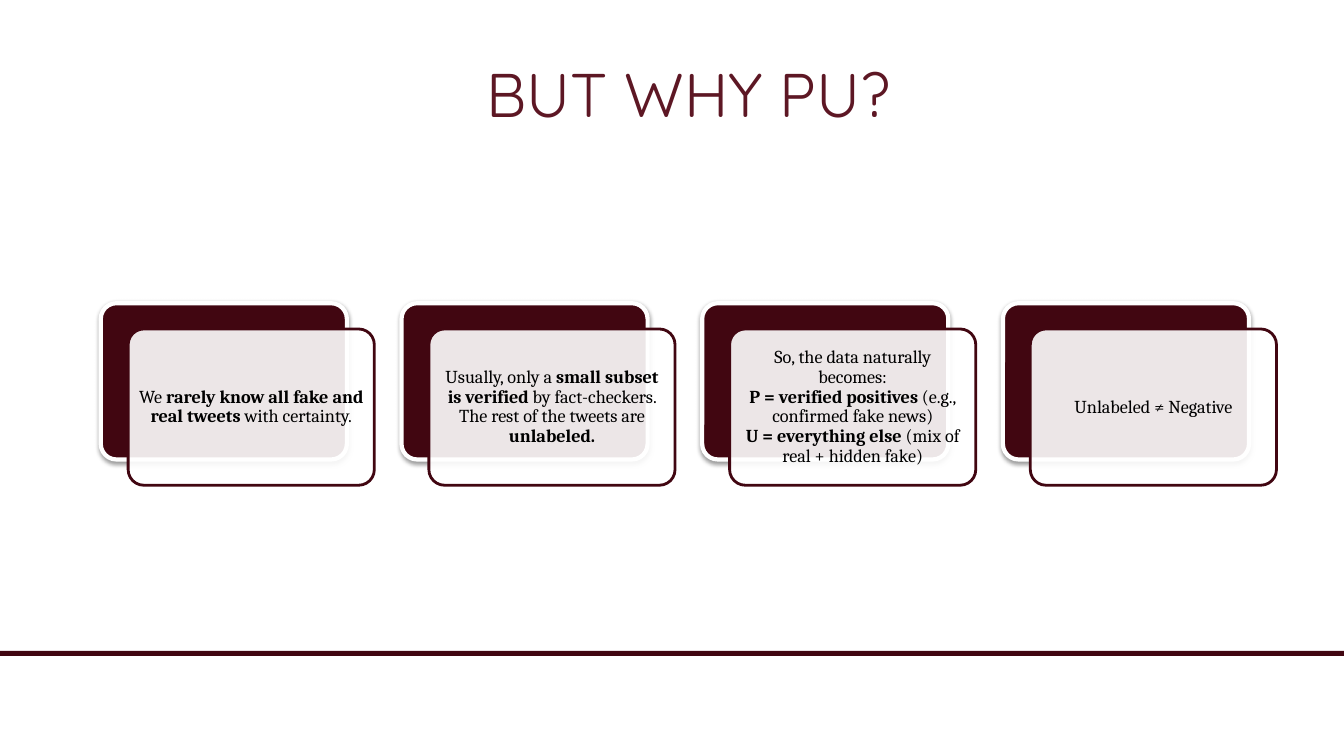
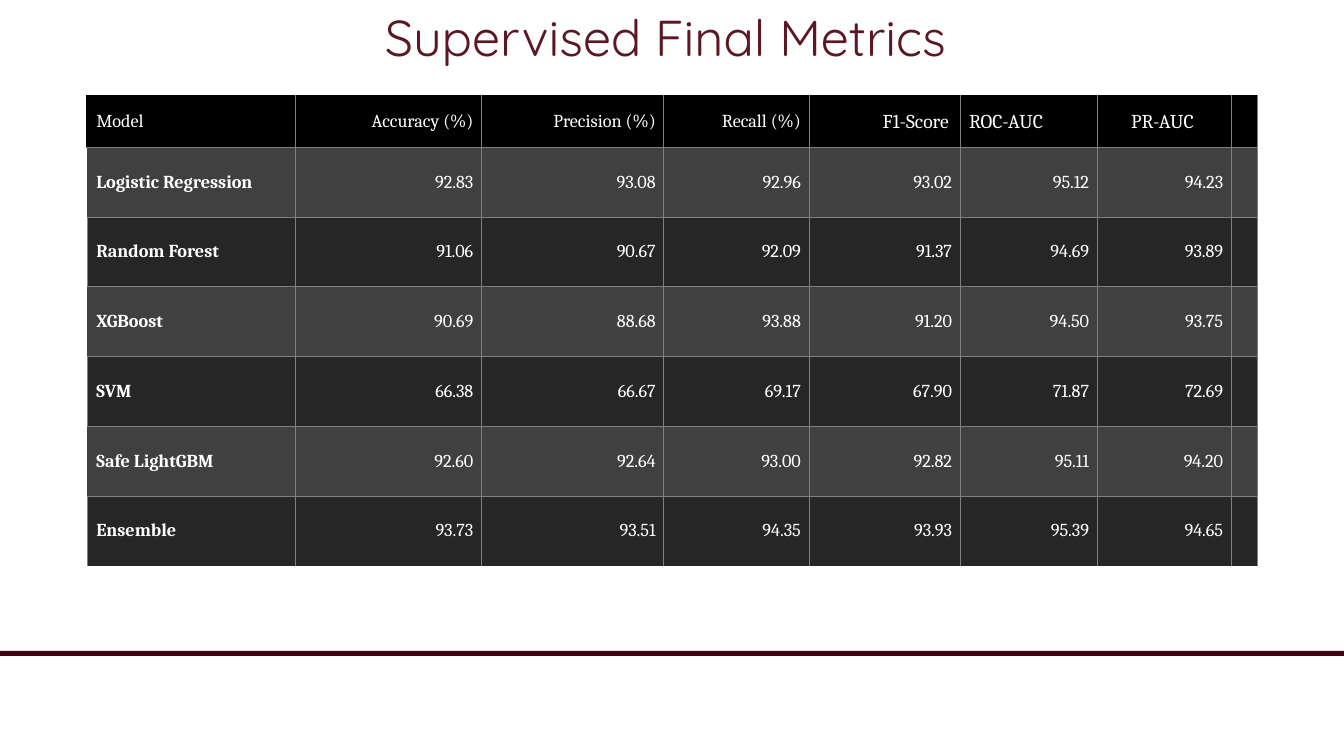
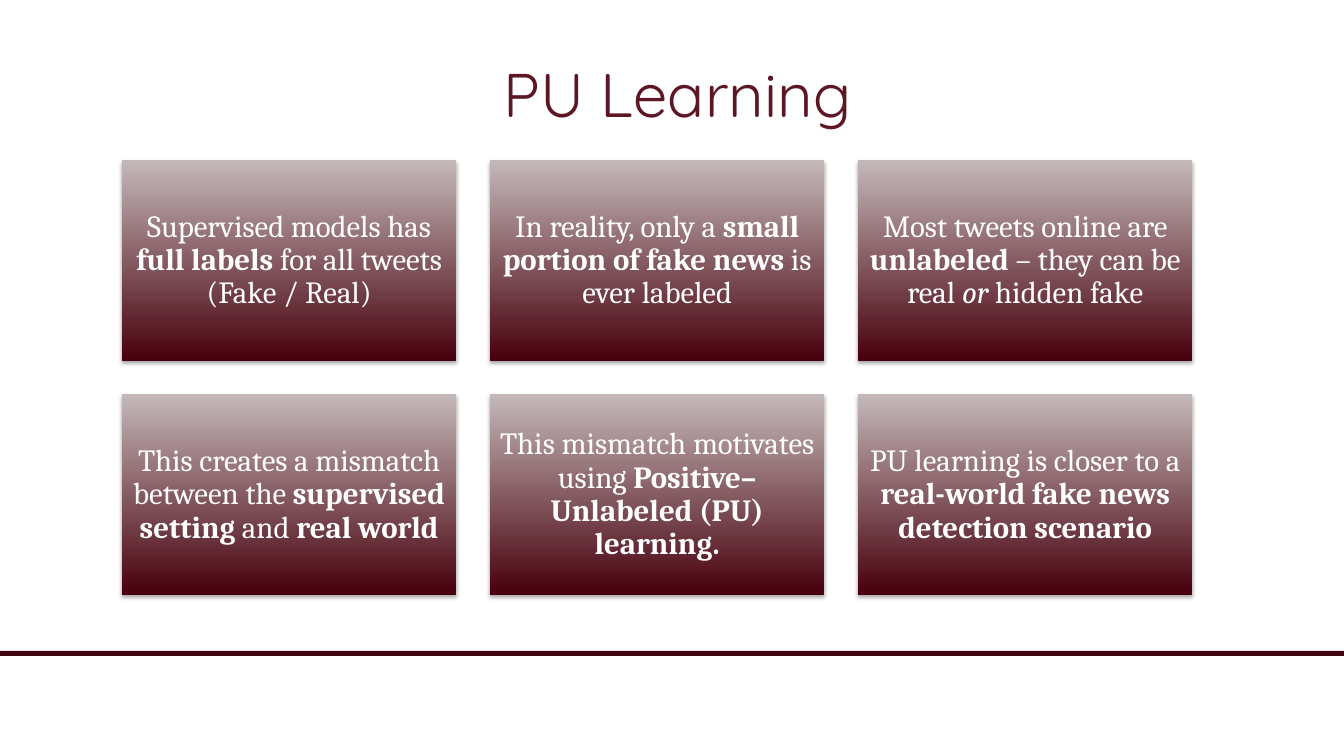
"""Build three slides on positive-unlabeled learning for fake news detection."""
from lxml.etree import SubElement
from pptx import Presentation
from pptx.dml.color import RGBColor
from pptx.enum.shapes import MSO_SHAPE
from pptx.enum.text import MSO_ANCHOR, MSO_AUTO_SIZE, PP_ALIGN
from pptx.oxml.ns import qn
from pptx.util import Pt

WINE = RGBColor(0x41, 0x06, 0x11)
TITLE_WINE = RGBColor(0x5D, 0x17, 0x24)
DEEP_WINE = RGBColor(0x47, 0x00, 0x0D)
ROSE_GREY = RGBColor(0xC4, 0xB8, 0xB9)
WHITE = RGBColor(0xFF, 0xFF, 0xFF)
BLACK = RGBColor(0x00, 0x00, 0x00)
GREY = RGBColor(0x80, 0x80, 0x80)
LIGHT_ROW = RGBColor(0x40, 0x40, 0x40)
DARK_ROW = RGBColor(0x26, 0x26, 0x26)

TITLE_FONT = "Quicksand"
BODY_FONT = "Cambria"
PLAIN = {"bold": False}
BOLD = {"bold": True}
ITALIC = {"italic": True}
SMALL_SPACE = {"size": Pt(10)}

REASONS = [
    [("We ", PLAIN), ("rarely know all fake and real tweets", BOLD), (" with certainty.", PLAIN)],
    [("Usually, only a ", PLAIN), ("small subset is verified", BOLD),
     (" by fact-checkers. The rest of the tweets are ", PLAIN), ("unlabeled.", BOLD)],
    [("So, the data naturally becomes:\n", PLAIN), ("P = verified positives", BOLD),
     (" (e.g., confirmed fake news)\n", PLAIN), ("U = everything else", BOLD),
     (" (mix of real + hidden fake)", PLAIN)],
    [("Unlabeled ≠ Negative", PLAIN)],
]

HEADERS = [
    ("Model", 13, PP_ALIGN.LEFT),
    ("Accuracy (%)", 13, PP_ALIGN.RIGHT),
    ("Precision (%)", 13, PP_ALIGN.RIGHT),
    ("Recall (%)", 13, PP_ALIGN.RIGHT),
    ("F1-Score", 14, PP_ALIGN.RIGHT),
    ("ROC-AUC", 14, PP_ALIGN.LEFT),
    ("PR-AUC ", 14, PP_ALIGN.CENTER),
]
METRICS = [
    ("Logistic Regression", "92.83", "93.08", "92.96", "93.02", "95.12", "94.23"),
    ("Random Forest", "91.06", "90.67", "92.09", "91.37", "94.69", "93.89"),
    ("XGBoost", "90.69", "88.68", "93.88", "91.20", "94.50", "93.75"),
    ("SVM", "66.38", "66.67", "69.17", "67.90", "71.87", "72.69"),
    ("Safe LightGBM", "92.60", "92.64", "93.00", "92.82", "95.11", "94.20"),
    ("Ensemble", "93.73", "93.51", "94.35", "93.93", "95.39", "94.65"),
]
COLUMN_WIDTHS = [149, 132.5, 130.3, 103.7, 108, 97.9, 95.8, 18.7]
HEADER_HEIGHT = 33.4
ROW_HEIGHT = 49.85

POINTS = [
    [("Supervised models has ", PLAIN), ("full labels", BOLD), (" for all tweets (Fake / Real)", PLAIN)],
    [("In reality, only a ", PLAIN), ("small portion of fake news", BOLD), (" is ever labeled", PLAIN)],
    [("Most tweets online are ", PLAIN), ("unlabeled", BOLD), (" – they can be real ", PLAIN),
     ("or", ITALIC), (" hidden fake", PLAIN)],
    [("This creates a mismatch between the ", PLAIN), ("supervised setting", BOLD),
     (" and ", PLAIN), ("real world", BOLD)],
    [("This mismatch motivates using ", PLAIN), ("Positive–Unlabeled (PU) learning.", BOLD)],
    [("PU learning is closer to a ", PLAIN), ("real-world fake news detection scenario", BOLD)],
]


def assign(target, values):
    """Set every attribute named in values on the target."""
    for name, value in values.items():
        setattr(target, name, value)


class Builder:
    """Hold the deck style and the current page."""

    def __init__(self):
        """Start an empty widescreen deck."""
        self.deck = Presentation()
        assign(self.deck, {"slide_width": Pt(960), "slide_height": Pt(540)})
        self.page = None

    def start_page(self, title, area, size):
        """Add a page with the shared band and a formatted title."""
        self.page = self.deck.slides.add_slide(self.deck.slide_layouts[5])
        self.shape(MSO_SHAPE.RECTANGLE, (0, 465, 960, 3.6), WINE)
        box = self.page.shapes.title
        assign(box, dict(zip(("left", "top", "width", "height"), map(Pt, area))))
        assign(box.text_frame, {"word_wrap": True, "auto_size": MSO_AUTO_SIZE.NONE,
                                "vertical_anchor": MSO_ANCHOR.MIDDLE})
        self.add_spans(box.text_frame.paragraphs[0], [(title, PLAIN)], size, TITLE_WINE,
                       font=TITLE_FONT)

    def add_spans(self, para, spans, size, color, align=PP_ALIGN.CENTER, font=BODY_FONT):
        """Fill a paragraph with styled spans."""
        para.alignment = align
        for text, style in spans:
            for index, line in enumerate(text.split("\n")):
                if index:
                    para.add_line_break()
                if line:
                    span = para.add_run()
                    span.text = line
                    assign(span.font, {"name": font, "size": Pt(size), **style})
                    span.font.color.rgb = color

    def shape(self, kind, area, fill=None, line=None, opacity=None):
        """Add a preset shape with an optional solid fill and outline."""
        shape = self.page.shapes.add_shape(kind, *map(Pt, area))
        shape.shadow.inherit = False
        if fill is not None:
            shape.fill.solid()
            shape.fill.fore_color.rgb = fill
        if opacity:
            color = shape._element.spPr.find(qn("a:solidFill"))[0]
            SubElement(color, qn("a:alpha"), val=str(opacity * 1000))
        if line:
            shape.line.color.rgb, shape.line.width = line[0], Pt(line[1])
        else:
            shape.line.fill.background()
        return shape

    def cast_shadow(self, shape, opacity, distance):
        """Give a shape a soft shadow straight below it."""
        effects = shape._element.spPr.find(qn("a:effectLst"))
        shadow = SubElement(effects, qn("a:outerShdw"), blurRad=str(Pt(3.1)), dist=str(Pt(distance)),
                            dir="5400000", algn="ctr", rotWithShape="0")
        color = SubElement(shadow, qn("a:srgbClr"), val=str(BLACK))
        SubElement(color, qn("a:alpha"), val=str(opacity * 1000))

    def fill_text(self, shape, spans, size, color, margin):
        """Put centred text inside a shape."""
        frame = shape.text_frame
        assign(frame, {"word_wrap": True, "vertical_anchor": MSO_ANCHOR.MIDDLE})
        assign(frame, {f"margin_{side}": Pt(margin) for side in ("left", "top", "right", "bottom")})
        frame.paragraphs[0].line_spacing = 0.9
        self.add_spans(frame.paragraphs[0], spans, size, color)

    def layered_card(self, left, top, spans):
        """Add a dark card with a translucent text card in front."""
        width, height = 175.8, 111.6
        back = self.shape(MSO_SHAPE.ROUNDED_RECTANGLE, (left, top, width, height), WINE, (WHITE, 3))
        self.cast_shadow(back, 38, 1.6)
        front = self.shape(MSO_SHAPE.ROUNDED_RECTANGLE, (left + 19.6, top + 18.4, width, height),
                           WHITE, (WINE, 2), 90)
        for card in (back, front):
            card.adjustments[0] = 0.1
        self.fill_text(front, spans, 13, BLACK, 3.6)

    def gradient_card(self, left, top, width, height, spans):
        """Add a shadowed card that darkens towards its bottom."""
        card = self.shape(MSO_SHAPE.RECTANGLE, (left, top, width, height))
        card.fill.gradient()
        card.fill.gradient_angle = 90
        for stop, color in zip(card.fill.gradient_stops, (DEEP_WINE, ROSE_GREY)):
            stop.color.rgb = color
        self.cast_shadow(card, 35, 1.8)
        self.fill_text(card, spans, 22, WHITE, 6.6)

    def border(self, cell, side, color, width):
        """Draw one cell border, or hide it when no color is given."""
        edge = SubElement(cell._tc.get_or_add_tcPr(), qn(f"a:ln{side}"), w=str(Pt(width)))
        if color is None:
            SubElement(edge, qn("a:noFill"))
        else:
            fill = SubElement(edge, qn("a:solidFill"))
            SubElement(fill, qn("a:srgbClr"), val=str(color))

    def cell(self, cell, fill, borders):
        """Format the borders, fill and margins of a table cell."""
        for side in "LRTB":
            self.border(cell, side, *borders.get(side, (GREY, 0.5)))
        cell.fill.solid()
        cell.fill.fore_color.rgb = fill
        assign(cell, {"vertical_anchor": MSO_ANCHOR.MIDDLE, "margin_left": Pt(6.5),
                      "margin_right": Pt(5.8), "margin_top": Pt(7.2), "margin_bottom": Pt(7.2)})

    def metrics_table(self, left, top):
        """Add the table of model scores."""
        heights = [HEADER_HEIGHT] + [ROW_HEIGHT] * len(METRICS)
        area = (left, top, sum(COLUMN_WIDTHS), sum(heights))
        table = self.page.shapes.add_table(len(heights), len(COLUMN_WIDTHS), *map(Pt, area)).table
        assign(table, {"first_row": False, "horz_banding": False})
        for column, width in zip(table.columns, COLUMN_WIDTHS):
            column.width = Pt(width)
        for number, (row, height) in enumerate(zip(table.rows, heights)):
            row.height = Pt(height)
            fill = BLACK if number == 0 else LIGHT_ROW if number % 2 else DARK_ROW
            for index, cell in enumerate(row.cells):
                borders = {}
                if number == 0:
                    borders["T"] = (BLACK, 1.5)
                    if index == 0:
                        borders["L"] = (BLACK, 1.5)
                elif number % 2 and index == 0:
                    borders["L"] = (None, 0)
                if number == len(METRICS):
                    borders["B"] = (None, 0)
                self.cell(cell, fill, borders)
        for index, (text, size, align) in enumerate(HEADERS):
            spans = [(text, PLAIN)]
            if text == "F1-Score":
                spans.append((" ", SMALL_SPACE))
            self.add_spans(table.cell(0, index).text_frame.paragraphs[0], spans, size, WHITE, align)
        for number, values in enumerate(METRICS, 1):
            for index, value in enumerate(values):
                style, align = (PLAIN, PP_ALIGN.RIGHT) if index else (BOLD, PP_ALIGN.LEFT)
                para = table.cell(number, index).text_frame.paragraphs[0]
                self.add_spans(para, [(value, style)], 13, WHITE, align)


def main():
    """Build the three pages and save the deck."""
    builder = Builder()

    builder.start_page("BUT WHY PU?", (72, 21.6, 840, 90), 44)
    for index, spans in enumerate(REASONS):
        builder.layered_card(72 + 214.8 * index, 216.6, spans)

    builder.start_page("Supervised Final Metrics ", (260.6, 0, 439.2, 51.8), 36)
    builder.metrics_table(62.3, 68.8)

    builder.start_page("PU Learning", (64, 21.6, 840, 90), 44)
    width, height, gap = 239, 143.4, 23.9
    for index, spans in enumerate(POINTS):
        row, column = divmod(index, 3)
        builder.gradient_card(87 + column * (width + gap), 114.4 + row * (height + gap),
                              width, height, spans)

    builder.deck.save("out.pptx")


if __name__ == "__main__":
    main()
